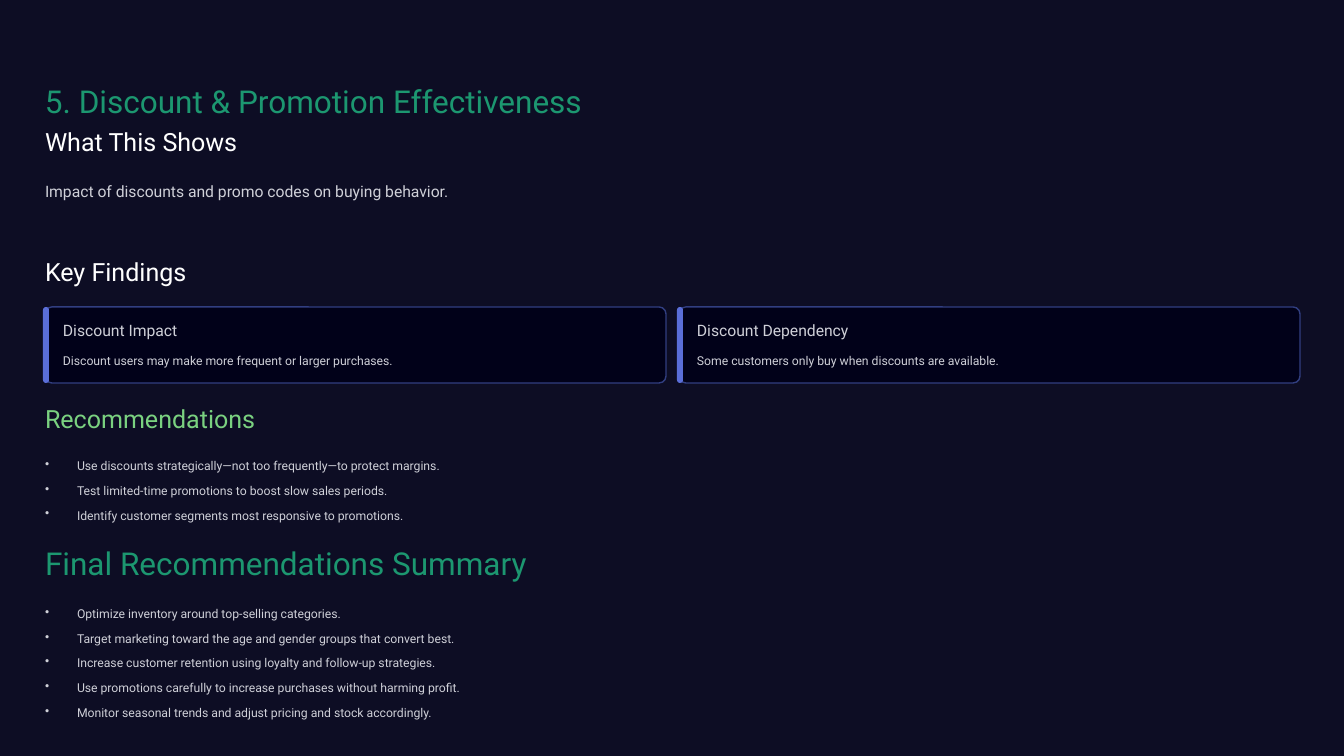
from lxml import etree
from pptx import Presentation
from pptx.dml.color import RGBColor
from pptx.enum.shapes import MSO_SHAPE
from pptx.oxml.ns import qn
from pptx.util import Pt

ROUNDED = MSO_SHAPE.ROUNDED_RECTANGLE
SCALE = 914400 / 84
FONT = "Roboto"
BACKGROUND, CARD, BORDER, ACCENT = "0D0D24", "010119", "313E80", "5A6ED8"
GREEN, LIGHT_GREEN, WHITE, GREY = "1C9770", "7AD180", "FFFFFF", "CFD0D8"
LEFT, CONTENT_WIDTH, INDENT = 45, 1255, 32
CARD_TOP, CARD_WIDTH, CARD_HEIGHT, CARD_PITCH = 307, 621, 76, 634


def px(value):
    return round(value * SCALE)


def add_text(left, top, width, height, lines, size, color, leading, bullet=False):
    box = slide.shapes.add_textbox(px(left), px(top), px(width), px(height))
    frame = box.text_frame
    frame.margin_left = frame.margin_top = frame.margin_right = frame.margin_bottom = 0
    frame.word_wrap = bullet
    for index, line in enumerate(lines):
        paragraph = frame.paragraphs[0] if index == 0 else frame.add_paragraph()
        paragraph.line_spacing = Pt(leading)
        if index:
            paragraph.space_before = Pt(4.25)
        if bullet:
            properties = paragraph._p.get_or_add_pPr()
            properties.set("marL", str(px(INDENT)))
            properties.set("indent", str(-px(INDENT)))
            etree.SubElement(properties, qn("a:buChar")).set("char", "•")
        run = paragraph.add_run()
        run.text = line
        run.font.name = FONT
        run.font.size = Pt(size)
        run.font.color.rgb = RGBColor.from_string(color)


presentation = Presentation()
presentation.slide_width = px(1344)
presentation.slide_height = px(756)
slide = presentation.slides.add_slide(presentation.slide_layouts[6])
slide.background.fill.solid()
slide.background.fill.fore_color.rgb = RGBColor.from_string(BACKGROUND)

headings = [
    (80, 547, 39, "5. Discount & Promotion Effectiveness", 27, GREEN, 34),
    (125, 255, 32, "What This Shows", 21.5, WHITE, 27),
    (176, CONTENT_WIDTH, 25, "Impact of discounts and promo codes on buying behavior.", 13.5, GREY, 21.5),
    (255, 255, 32, "Key Findings", 21.5, WHITE, 27),
    (402, 255, 32, "Recommendations", 21.5, LIGHT_GREEN, 27),
    (542, 490, 39, "Final Recommendations Summary", 27, GREEN, 34),
]
for top, width, height, text, size, color, leading in headings:
    add_text(LEFT, top, width, height, [text], size, color, leading)

findings = [
    ("Discount Impact", "Discount users may make more frequent or larger purchases."),
    ("Discount Dependency", "Some customers only buy when discounts are available."),
]
for index, (title, detail) in enumerate(findings):
    card_left = LEFT + index * CARD_PITCH
    parts = [
        (card_left, CARD_WIDTH, 0.09, CARD, BORDER),
        (card_left - 2, 6, 0.5, ACCENT, None),
    ]
    for left, width, radius, fill, border in parts:
        shape = slide.shapes.add_shape(ROUNDED, px(left), px(CARD_TOP), px(width), px(CARD_HEIGHT))
        shape.shadow.inherit = False
        shape.adjustments[0] = radius
        shape.fill.solid()
        shape.fill.fore_color.rgb = RGBColor.from_string(fill)
        if border:
            shape.line.color.rgb = RGBColor.from_string(border)
            shape.line.width = Pt(1.2)
        else:
            shape.line.fill.background()
    add_text(card_left + 18, CARD_TOP + 13, 160, 20, [title], 13.5, GREY, 17)
    add_text(card_left + 18, CARD_TOP + 41, 589, 20, [detail], 10.5, GREY, 17)

bullet_lists = [
    (453, 70, [
        "Use discounts strategically—not too frequently—to protect margins.",
        "Test limited-time promotions to boost slow sales periods.",
        "Identify customer segments most responsive to promotions.",
    ]),
    (601, 119, [
        "Optimize inventory around top-selling categories.",
        "Target marketing toward the age and gender groups that convert best.",
        "Increase customer retention using loyalty and follow‑up strategies.",
        "Use promotions carefully to increase purchases without harming profit.",
        "Monitor seasonal trends and adjust pricing and stock accordingly.",
    ]),
]
for top, height, lines in bullet_lists:
    add_text(LEFT, top, CONTENT_WIDTH, height, lines, 10.5, GREY, 17, bullet=True)

presentation.save("out.pptx")
